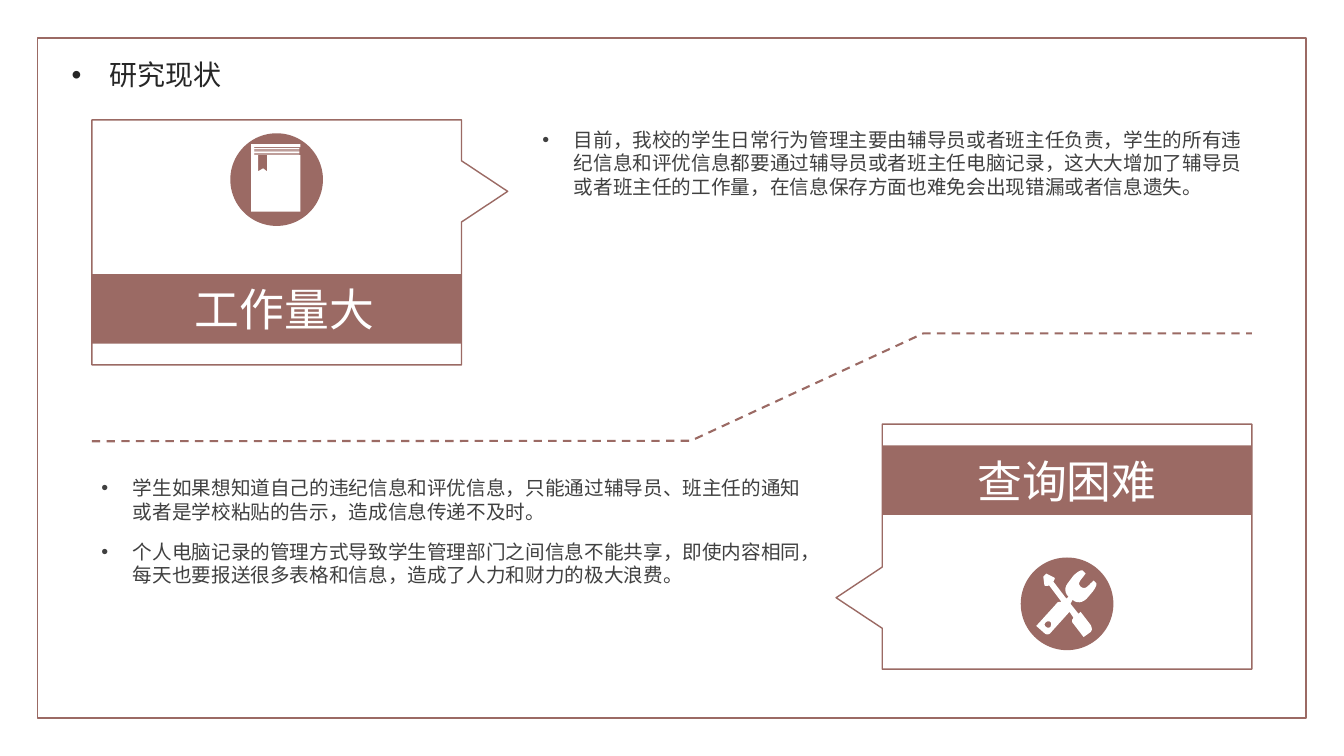
"""Build the research status slide with two callouts and their notes."""
import dataclasses
import typing

import lxml.etree
import pptx
import pptx.dml.color
import pptx.enum.dml
import pptx.enum.shapes
import pptx.enum.text
import pptx.oxml.ns
import pptx.util

Pt = pptx.util.Pt
qn = pptx.oxml.ns.qn
KIND = pptx.enum.shapes.MSO_SHAPE
ALIGN = pptx.enum.text.PP_ALIGN
FONT = "Noto Sans CJK SC"
HUES = {"rose": "9B6A64", "white": "FFFFFF", "title": "262626", "body": "404040"}
GRID = 0.72
Spot = tuple[float, ...]


@dataclasses.dataclass(frozen=True)
class Card:
    """A banded callout with a round badge."""
    text: str
    left: float
    top: float
    band: float
    disc: float
    flip: str
    inset: float


@dataclasses.dataclass(frozen=True)
class Note:
    """A block of bulleted text."""
    left: float
    top: float
    high: float
    lines: tuple[str, ...]


@dataclasses.dataclass(frozen=True)
class Icon:
    """A white glyph made of closed outlines on a fine grid."""
    left: float
    top: float
    loops: tuple[tuple[Spot, ...], ...]


WIDE, HIGH = 264, 175
CARDS = (
    Card("工作量大", 65.6, 85.7, 195.9, 95.2, "flipH", 11.5),
    Card("查询困难", 630.2, 303, 318.2, 398.2, "flipV", 0),
)
NOTES = (
    Note(380.3, 87.8, 72, (
        "目前，我校的学生日常行为管理主要由辅导员或者班主任负责，学生的所有违纪信息和评优信息都要通过辅导员或者班主任电脑记录，这大大增加了辅导员或者班主任的工作量，在信息保存方面也难免会出现错漏或者信息遗失。",)),
    Note(65.3, 336.4, 105, (
        "学生如果想知道自己的违纪信息和评优信息，只能通过辅导员、班主任的通知或者是学校粘贴的告示，造成信息传递不及时。",
        "个人电脑记录的管理方式导致学生管理部门之间信息不能共享，即使内容相同，每天也要报送很多表格和信息，造成了人力和财力的极大浪费。")),
)
PAGES = tuple((x, 10 - row * 2 / 3) for row in range(10)
              for x in ((3, 48) if row % 2 == 0 else (48, 3)))
BOOK = ((16, 11), (16, 27), (12, 24), (7, 27), (7, 11), (3, 11), *PAGES,
        (3, 3), (49, 3), (49, 0), (0, 0), (0, 67), (49, 67), (49, 11))
TOOLS = (
    (59, 13), (57, 11), (51, 16, 49, 21, 44, 17), (40, 13, 45, 10, 49, 4),
    (49, 4, 48, 3, 46, 1), (45, 0, 41, 2, 37, 6), (31, 14),
    (28, 18, 28, 23, 32, 27), (30, 29), (17, 12), (18, 10, 19, 9, 18, 8),
    (10, 4), (7, 7), (8, 15), (8, 17, 11, 16, 13, 16), (25, 32),
    (23, 32, 21, 32, 20, 34), (0, 56), (8, 63), (10, 65, 13, 65, 15, 62),
    (33, 42), (37, 48), (35, 50, 35, 52, 37, 54), (47, 67), (54, 62),
    (56, 60, 55, 57, 54, 55), (44, 42), (42, 44), (34, 34), (36, 30),
    (40, 34, 46, 33, 50, 29), (56, 22), (59, 18, 61, 14, 59, 13))
HOLE = ((14, 57), (13, 58, 11, 58, 10, 57), (8, 56, 8, 54, 9, 53),
        (10, 51, 13, 51, 14, 52), (15, 53, 15, 55, 14, 57))
ICONS = (Icon(179.3, 103, (BOOK,)), Icon(740.2, 406.8, (TOOLS, HOLE)))
TRAIL = ((65.6, 315.2), (493.5, 314.9), (659.5, 238.2), (894.2, 238.2))


def tint(name: str) -> pptx.dml.color.RGBColor:
    """Return a named colour."""
    return pptx.dml.color.RGBColor.from_string(HUES[name])


def paint(shape: typing.Any, fill: str = "", line: str = "", width: float = 1) -> None:
    """Set the fill and line of a shape and drop its shadow."""
    shape.shadow.inherit = False
    if fill:
        shape.fill.solid()
        shape.fill.fore_color.rgb = tint(fill)
    else:
        shape.fill.background()
    if line:
        shape.line.color.rgb = tint(line)
        shape.line.width = Pt(width)
    else:
        shape.line.fill.background()


def form(shapes: typing.Any, kind: typing.Any, box: Spot, **look: typing.Any) -> typing.Any:
    """Add a painted preset shape."""
    shape = shapes.add_shape(kind, *map(Pt, box))
    paint(shape, **look)
    return shape


def write(para: typing.Any, text: str, size: float, hue: str) -> None:
    """Add one run of text to a paragraph."""
    run = para.add_run()
    run.text = text
    run.font.size = Pt(size)
    run.font.name = FONT
    run.font.color.rgb = tint(hue)
    lxml.etree.SubElement(run.font._element, qn("a:ea"), typeface=FONT)


def dot(para: typing.Any, gap: float) -> None:
    """Give a paragraph a hanging bullet."""
    props = para._p.get_or_add_pPr()
    props.set("marL", str(Pt(gap)))
    props.set("indent", str(-Pt(gap)))
    lxml.etree.SubElement(props, qn("a:buFont"), typeface="Arial")
    lxml.etree.SubElement(props, qn("a:buChar"), char="•")


def head(title: typing.Any) -> None:
    """Place and fill the slide title."""
    title.left, title.top, title.width, title.height = map(Pt, (44, 37.5, 265.7, 31.5))
    frame = title.text_frame
    frame.auto_size = pptx.enum.text.MSO_AUTO_SIZE.NONE
    frame.vertical_anchor = pptx.enum.text.MSO_ANCHOR.MIDDLE
    para = frame.paragraphs[0]
    para.alignment = ALIGN.JUSTIFY
    dot(para, 27)
    write(para, "研究现状", 20, "title")


def show(shapes: typing.Any, card: Card) -> None:
    """Draw the band, callout and badge of a card."""
    band = form(shapes, KIND.RECTANGLE, (card.left, card.band, WIDE, 49.6), fill="rose")
    frame = band.text_frame
    frame.margin_left, frame.margin_right = Pt(card.inset), Pt(0)
    frame.margin_top = frame.margin_bottom = Pt(0)
    frame.vertical_anchor = pptx.enum.text.MSO_ANCHOR.MIDDLE
    frame.paragraphs[0].alignment = ALIGN.CENTER
    write(frame.paragraphs[0], card.text, 32, "white")
    shift = (WIDE - HIGH) / 2
    call = form(shapes, KIND.RECTANGULAR_CALLOUT,
                (card.left + shift, card.top - shift, HIGH, WIDE), line="rose")
    call.rotation = 270
    call._element.spPr.find(qn("a:xfrm")).set(card.flip, "1")
    form(shapes, KIND.OVAL, (card.left + WIDE / 2 - 33.1, card.disc, 66.2, 66.2), fill="rose")


def tell(shapes: typing.Any, note: Note) -> None:
    """Add the bulleted paragraphs of a note."""
    frame = shapes.add_textbox(*map(Pt, (note.left, note.top, 517, note.high))).text_frame
    frame.word_wrap = True
    for rank, text in enumerate(note.lines):
        para = frame.add_paragraph() if rank else frame.paragraphs[0]
        para.space_before = Pt(12 if rank else 0)
        dot(para, 22.5)
        write(para, text, 14, "body")


def trace(loop: tuple[Spot, ...]) -> list[Spot]:
    """Turn corners and cubic curves into a list of points."""
    spots = [loop[0]]
    for step in loop[1:]:
        if len(step) == 2:
            spots.append(step)
            continue
        ends = (spots[-1], step[:2], step[2:4], step[4:])
        for part in range(1, 7):
            t = part / 6
            mix = ((1 - t) ** 3, 3 * t * (1 - t) ** 2, 3 * t * t * (1 - t), t ** 3)
            spots.append(tuple(sum(m * e[axis] for m, e in zip(mix, ends)) for axis in (0, 1)))
    return spots


def carve(shapes: typing.Any, icon: Icon) -> None:
    """Draw an icon as one freeform."""
    loops = [[(Pt(icon.left + GRID * x), Pt(icon.top + GRID * y)) for x, y in trace(loop)]
             for loop in icon.loops]
    pen = shapes.build_freeform(*loops[0][0])
    pen.add_line_segments(loops[0][1:], close=True)
    for loop in loops[1:]:
        pen.move_to(*loop[0])
        pen.add_line_segments(loop[1:], close=True)
    paint(pen.convert_to_shape(), fill="white")


def main() -> None:
    """Build and save the slide."""
    deck = pptx.Presentation()
    deck.slide_width, deck.slide_height = Pt(960), Pt(540)
    shapes = deck.slides.add_slide(deck.slide_layouts[5]).shapes
    form(shapes, KIND.RECTANGLE, (27, 27, 906, 486), line="rose")
    head(shapes.title)
    spots = [(Pt(x), Pt(y)) for x, y in TRAIL]
    pen = shapes.build_freeform(*spots[0])
    pen.add_line_segments(spots[1:], close=False)
    trail = pen.convert_to_shape()
    paint(trail, line="rose", width=1.5)
    trail.line.dash_style = pptx.enum.dml.MSO_LINE.DASH
    for card in CARDS:
        show(shapes, card)
    for icon in ICONS:
        carve(shapes, icon)
    for note in NOTES:
        tell(shapes, note)
    deck.save("out.pptx")


if __name__ == "__main__":
    main()
